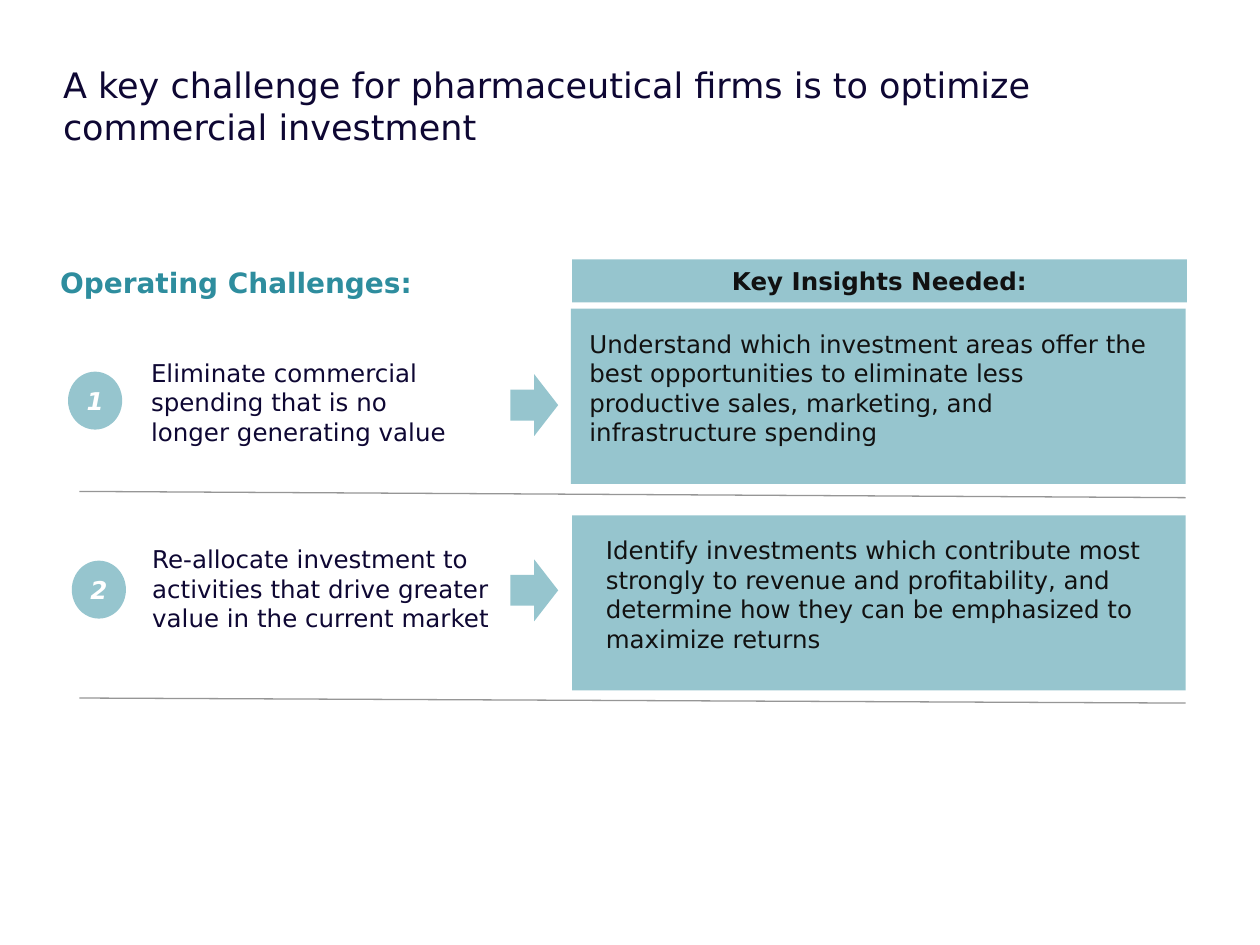
from dataclasses import dataclass

from lxml import etree
from pptx import Presentation
from pptx.dml.color import RGBColor
from pptx.enum.shapes import MSO_CONNECTOR as CONNECTOR, MSO_SHAPE as SHAPE
from pptx.enum.text import MSO_ANCHOR as ANCHOR, MSO_AUTO_SIZE as AUTO, PP_ALIGN as ALIGN
from pptx.oxml.ns import qn
from pptx.util import Inches, Pt

FONT = "DejaVu Sans"
NAVY = RGBColor(0x0E, 0x07, 0x33)
TEAL = RGBColor(0x2E, 0x8D, 0x9E)
INK = RGBColor(0x11, 0x11, 0x11)
WHITE = RGBColor(0xFF, 0xFF, 0xFF)
GREY = RGBColor(0x96, 0x96, 0x96)


@dataclass
class Challenge:
    """One challenge with its insight; offsets are inches from the row's corner."""
    number: str
    challenge: str
    insight: str
    badge_at: tuple
    challenge_at: tuple
    challenge_width: float
    arrow_top: float
    panel_left: float
    panel_width: float
    insight_left: float
    insight_width: float
    rule_drop: float


CHALLENGES = [
    Challenge("1", "Eliminate commercial spending that is no longer generating value",
              "Understand which investment areas offer the best opportunities to eliminate "
              "less productive sales, marketing, and infrastructure spending",
              badge_at=(0, 0.5), challenge_at=(0.56, 0.34), challenge_width=2.71,
              arrow_top=0.52, panel_left=3.99, panel_width=4.88,
              insight_left=4.04, insight_width=4.7, rule_drop=0.05),
    Challenge("2", "Re-allocate investment to activities that drive greater value "
              "in the current market",
              "Identify investments which contribute most strongly to revenue and "
              "profitability, and determine how they can be emphasized to maximize returns",
              badge_at=(0.03, 0.36), challenge_at=(0.57, 0.18), challenge_width=2.96,
              arrow_top=0.35, panel_left=4, panel_width=4.87,
              insight_left=4.17, insight_width=4.87, rule_drop=0.04),
]


def write(frame, text, color, size=14, bold=False, italic=False, align=ALIGN.LEFT):
    """Fill a text frame with one styled paragraph."""
    frame.text = text
    paragraph = frame.paragraphs[0]
    paragraph.alignment = align
    font = paragraph.runs[0].font
    font.name, font.size, font.bold, font.italic = FONT, Pt(size), bold, italic
    font.color.rgb = color


def add_label(slide, left, top, width, height, text, color, **style):
    """Add a wrapping text box that grows with its text."""
    box = slide.shapes.add_textbox(Inches(left), Inches(top), Inches(width), Inches(height))
    box.text_frame.word_wrap = True
    box.text_frame.auto_size = AUTO.SHAPE_TO_FIT_TEXT
    write(box.text_frame, text, color, **style)


def add_tint(slide, kind, left, top, width, height):
    """Add a borderless half-transparent teal shape."""
    tint = slide.shapes.add_shape(kind, Inches(left), Inches(top), Inches(width), Inches(height))
    tint.shadow.inherit = False
    tint.fill.solid()
    tint.fill.fore_color.rgb = TEAL
    color = tint.fill._xPr.find(qn("a:solidFill")).find(qn("a:srgbClr"))
    etree.SubElement(color, qn("a:alpha")).set("val", "50000")
    tint.line.fill.background()
    return tint


def add_rule(slide, left, top, width, drop):
    """Add a thin, slightly falling divider."""
    rule = slide.shapes.add_connector(CONNECTOR.STRAIGHT, Inches(left), Inches(top),
                                      Inches(left + width), Inches(top + drop))
    rule.line.color.rgb = GREY
    rule.line.width = Pt(0.75)
    etree.SubElement(rule._element.spPr, qn("a:effectLst"))


def place_title(slide, left, top, width, height):
    """Move and format the title placeholder."""
    title = slide.shapes.title
    title.left, title.top, title.width, title.height = map(Inches, (left, top, width, height))
    frame = title.text_frame
    frame.margin_left = frame.margin_right = frame.margin_top = frame.margin_bottom = 0
    frame.vertical_anchor = ANCHOR.TOP
    frame.word_wrap = True
    frame.auto_size = AUTO.NONE
    write(frame, "A key challenge for pharmaceutical firms is to optimize commercial investment",
          NAVY, size=20)


def add_headings(slide, left, top):
    """Add the headings of the two columns."""
    add_label(slide, left, top, 3.74, 0.37, "Operating Challenges:", TEAL, size=16, bold=True)
    band = add_tint(slide, SHAPE.RECTANGLE, left + 4.16, top, 4.88, 0.34)
    band.text_frame.vertical_anchor = ANCHOR.TOP
    write(band.text_frame, "Key Insights Needed:", INK, bold=True, align=ALIGN.CENTER)


def add_challenge_row(slide, row, left, top, height):
    """Add badge, challenge, arrow, insight panel and divider of one row."""
    badge_left, badge_top = row.badge_at
    badge = add_tint(slide, SHAPE.OVAL, left + badge_left, top + badge_top, 0.43, 0.46)
    badge.text_frame.word_wrap = False
    badge.text_frame.vertical_anchor = ANCHOR.MIDDLE
    write(badge.text_frame, row.number, WHITE, bold=True, italic=True, align=ALIGN.CENTER)

    text_left, text_top = row.challenge_at
    add_label(slide, left + text_left, top + text_top, row.challenge_width, 0.8,
              row.challenge, NAVY)
    arrow = add_tint(slide, SHAPE.RIGHT_ARROW, left + 3.51, top + row.arrow_top, 0.38, 0.49)
    arrow.adjustments[0], arrow.adjustments[1] = 0.5, 0.5

    add_tint(slide, SHAPE.RECTANGLE, left + row.panel_left, top, row.panel_width, height)
    add_label(slide, left + row.insight_left, top + 0.11, row.insight_width, 1.04,
              row.insight, INK)
    add_rule(slide, left + 0.09, top + height + 0.06, 8.78, row.rule_drop)


def main():
    """Build and save the slide."""
    deck = Presentation()
    deck.slide_width, deck.slide_height = Inches(10), Inches(7.5)
    slide = deck.slides.add_slide(deck.slide_layouts.get_by_name("Title Only"))
    place_title(slide, 0.5, 0.5, 9, 1)
    add_headings(slide, 0.38, 2.06)
    for index, row in enumerate(CHALLENGES):
        add_challenge_row(slide, row, 0.54, 2.45 + index * 1.64, 1.39)
    deck.save("out.pptx")


if __name__ == "__main__":
    main()
